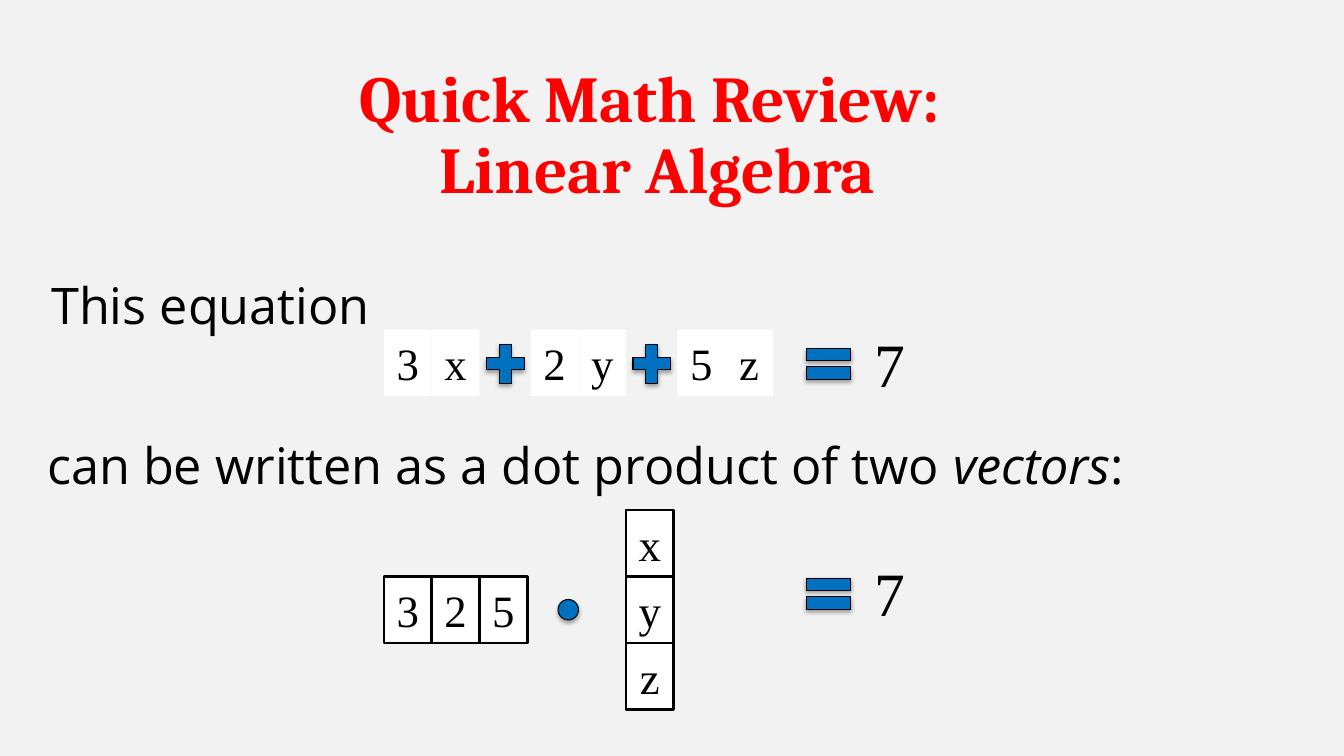
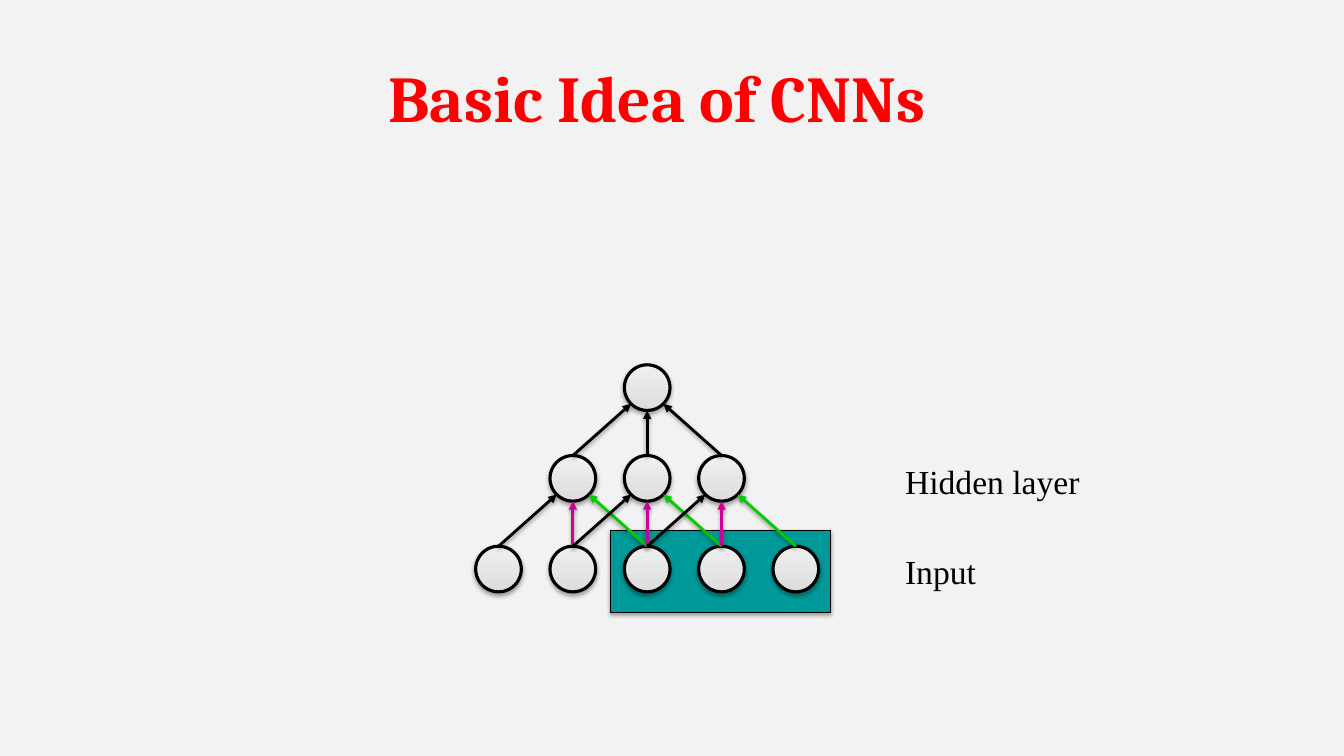
import math

import lxml.etree
import pptx
import pptx.dml.color
import pptx.enum.shapes
import pptx.enum.text
import pptx.oxml.ns
import pptx.util

Pt = pptx.util.Pt
RGBColor = pptx.dml.color.RGBColor
MSO_SHAPE = pptx.enum.shapes.MSO_SHAPE
PP_ALIGN = pptx.enum.text.PP_ALIGN
MSO_ANCHOR = pptx.enum.text.MSO_ANCHOR
qn = pptx.oxml.ns.qn

BACKGROUND = RGBColor(0xF2, 0xF2, 0xF2)
RED = RGBColor(0xFF, 0x00, 0x00)
BLACK = RGBColor(0x00, 0x00, 0x00)
WHITE = RGBColor(0xFF, 0xFF, 0xFF)
BLUE = RGBColor(0x00, 0x70, 0xC0)
TEAL = RGBColor(0x00, 0x99, 0x99)
MAGENTA = RGBColor(0xCC, 0x00, 0x99)
GREEN = RGBColor(0x00, 0xCC, 0x00)
NODE_DARK = RGBColor(0xDD, 0xDD, 0xDD)
NODE_LIGHT = RGBColor(0xEF, 0xEF, 0xEF)

TITLE_FONT = "Cambria"
BODY_FONT = "Open Sans"
MATH_FONT = "Times New Roman"

CELL_W, CELL_H = 34.1, 47.5
NODE = 32.6


class Deck:
    def __init__(self):
        self.prs = pptx.Presentation()
        self.prs.slide_width, self.prs.slide_height = Pt(960), Pt(540)
        self.s = None

    def slide(self, *lines):
        self.s = self.prs.slides.add_slide(self.prs.slide_layouts[5])
        self.s.background.fill.solid()
        self.s.background.fill.fore_color.rgb = BACKGROUND
        sp = self.s.shapes.title
        sp.left, sp.top, sp.width, sp.height = Pt(26.6), Pt(41), Pt(885.6), Pt(73.4)
        tf = sp.text_frame
        tf.auto_size = pptx.enum.text.MSO_AUTO_SIZE.NONE
        tf.vertical_anchor = MSO_ANCHOR.TOP
        tf.margin_top = Pt(6.5)
        p = tf.paragraphs[0]
        p.alignment = PP_ALIGN.CENTER
        p.line_spacing = 0.9
        for i, line in enumerate(lines):
            if i:
                p.add_line_break()
            self.run(p, line, TITLE_FONT, 46.7, RED).bold = True

    def run(self, p, text, font, size, color=BLACK):
        r = p.add_run()
        r.text = text
        r.font.name, r.font.size = font, Pt(size)
        r.font.color.rgb = color
        return r.font

    def text(self, x, y, w, h, text, font, size):
        tf = self.s.shapes.add_textbox(Pt(x), Pt(y), Pt(w), Pt(h)).text_frame
        tf.word_wrap = True
        p = tf.paragraphs[0]
        self.run(p, text, font, size)
        return p

    def shadow(self, sp, alpha, distance):
        sp_pr = sp._element.spPr
        effects = sp_pr.find(qn("a:effectLst"))
        if effects is None:
            effects = lxml.etree.SubElement(sp_pr, qn("a:effectLst"))
        outer = lxml.etree.SubElement(
            effects, qn("a:outerShdw"), blurRad=str(Pt(3.1)),
            dist=str(Pt(distance)), dir="5400000", rotWithShape="0")
        color = lxml.etree.SubElement(outer, qn("a:srgbClr"), val=str(BLACK))
        lxml.etree.SubElement(color, qn("a:alpha"), val=str(alpha * 1000))

    def shape(self, kind, x, y, w, h, fill=None, line=0.75, shadow=True):
        sp = self.s.shapes.add_shape(kind, Pt(x), Pt(y), Pt(w), Pt(h))
        sp.shadow.inherit = False
        if fill is not None:
            sp.fill.solid()
            sp.fill.fore_color.rgb = fill
        if line:
            sp.line.color.rgb = BLACK
            sp.line.width = Pt(line)
        else:
            sp.line.fill.background()
        if shadow:
            self.shadow(sp, 35, 1.8)
        return sp

    def cell(self, x, y, text, line=0):
        sp = self.shape(MSO_SHAPE.RECTANGLE, x, y, CELL_W, CELL_H, WHITE, line, False)
        tf = sp.text_frame
        tf.vertical_anchor = MSO_ANCHOR.MIDDLE
        p = tf.paragraphs[0]
        p.alignment = PP_ALIGN.CENTER
        self.run(p, text, MATH_FONT, 32)

    def equals_seven(self, y):
        self.shape(MSO_SHAPE.MATH_EQUAL, 570.2, y, 43.2, 37.4, BLUE)
        self.text(617.8, y - 12.2, 65.5, 60.5, "7", MATH_FONT, 44)

    def node(self, cx, cy):
        sp = self.shape(MSO_SHAPE.OVAL, cx - NODE / 2, cy - NODE / 2, NODE, NODE, line=2.25)
        sp.fill.gradient()
        sp.fill.gradient_angle = 90
        for stop, color in zip(sp.fill.gradient_stops, (NODE_DARK, NODE_LIGHT)):
            stop.color.rgb = color

    def arrow(self, x1, y1, x2, y2, color):
        c = self.s.shapes.add_connector(
            pptx.enum.shapes.MSO_CONNECTOR.STRAIGHT, Pt(x1), Pt(y1), Pt(x2), Pt(y2))
        c.line.color.rgb = color
        c.line.width = Pt(2)
        lxml.etree.SubElement(c.line._get_or_add_ln(), qn("a:tailEnd"), type="triangle")
        self.shadow(c, 38, 1.6)

    def neuron(self, cx, cy, pitch_x, pitch_y, colors):
        self.node(cx, cy)
        radius = NODE / 2
        for side, color in zip((-1, 0, 1), colors):
            angle = math.radians(45 * side)
            self.arrow(cx + side * pitch_x, cy + pitch_y - radius,
                       cx + radius * math.sin(angle), cy + radius * math.cos(angle), color)


def linear_algebra(deck):
    deck.slide("Quick Math Review: ", "Linear Algebra")
    left, term_pitch = 274.3, 104.8
    plus_offset = 2 * CELL_W
    coefficients, variables = "325", "xyz"

    deck.text(29.5, 192.2, 315.4, 51.1, "This equation", BODY_FONT, 36)
    for i, (coefficient, variable) in enumerate(zip(coefficients, variables)):
        x = left + i * term_pitch
        deck.cell(x, 235.4, coefficient)
        deck.cell(x + CELL_W, 235.4, variable)
        if i < 2:
            deck.shape(MSO_SHAPE.MATH_PLUS, x + plus_offset, 241.2, 36.8, 37.4, BLUE)
    deck.equals_seven(241.2)

    p = deck.text(26.6, 306.7, 786.2, 51.1,
                  "can be written as a dot product of two ", BODY_FONT, 36)
    deck.run(p, "vectors", BODY_FONT, 36).italic = True
    deck.run(p, ":", BODY_FONT, 36)

    column_x, column_y = 447.1, 364.3
    for i, (coefficient, variable) in enumerate(zip(coefficients, variables)):
        deck.cell(left + i * CELL_W, column_y + CELL_H, coefficient, 2)
        deck.cell(column_x, column_y + i * CELL_H, variable, 2)
    deck.shape(MSO_SHAPE.OVAL, 398.6, 428.2, 14.6, 14.6, BLUE)
    deck.equals_seven(405.4)


def cnn_idea(deck):
    deck.slide("Basic Idea of CNNs")
    pitch_x, pitch_y = 53.1, 64.8
    center_x, output_y = 462.3, 276.9
    hidden_y, input_y = output_y + pitch_y, output_y + 2 * pitch_y

    deck.shape(MSO_SHAPE.RECTANGLE, 435.8, 378.7, 157.3, 58.9, TEAL)
    for i in range(-2, 3):
        deck.node(center_x + i * pitch_x, input_y)
    for i in range(-1, 2):
        deck.neuron(center_x + i * pitch_x, hidden_y, pitch_x, pitch_y,
                    (BLACK, MAGENTA, GREEN))
    deck.neuron(center_x, output_y, pitch_x, pitch_y, (BLACK, BLACK, BLACK))
    for label, y in (("Hidden layer", hidden_y), ("Input", input_y)):
        deck.text(639.4, y - NODE / 2, 154, 36, label, MATH_FONT, 24)


def main():
    deck = Deck()
    linear_algebra(deck)
    cnn_idea(deck)
    deck.prs.save("out.pptx")


if __name__ == "__main__":
    main()
